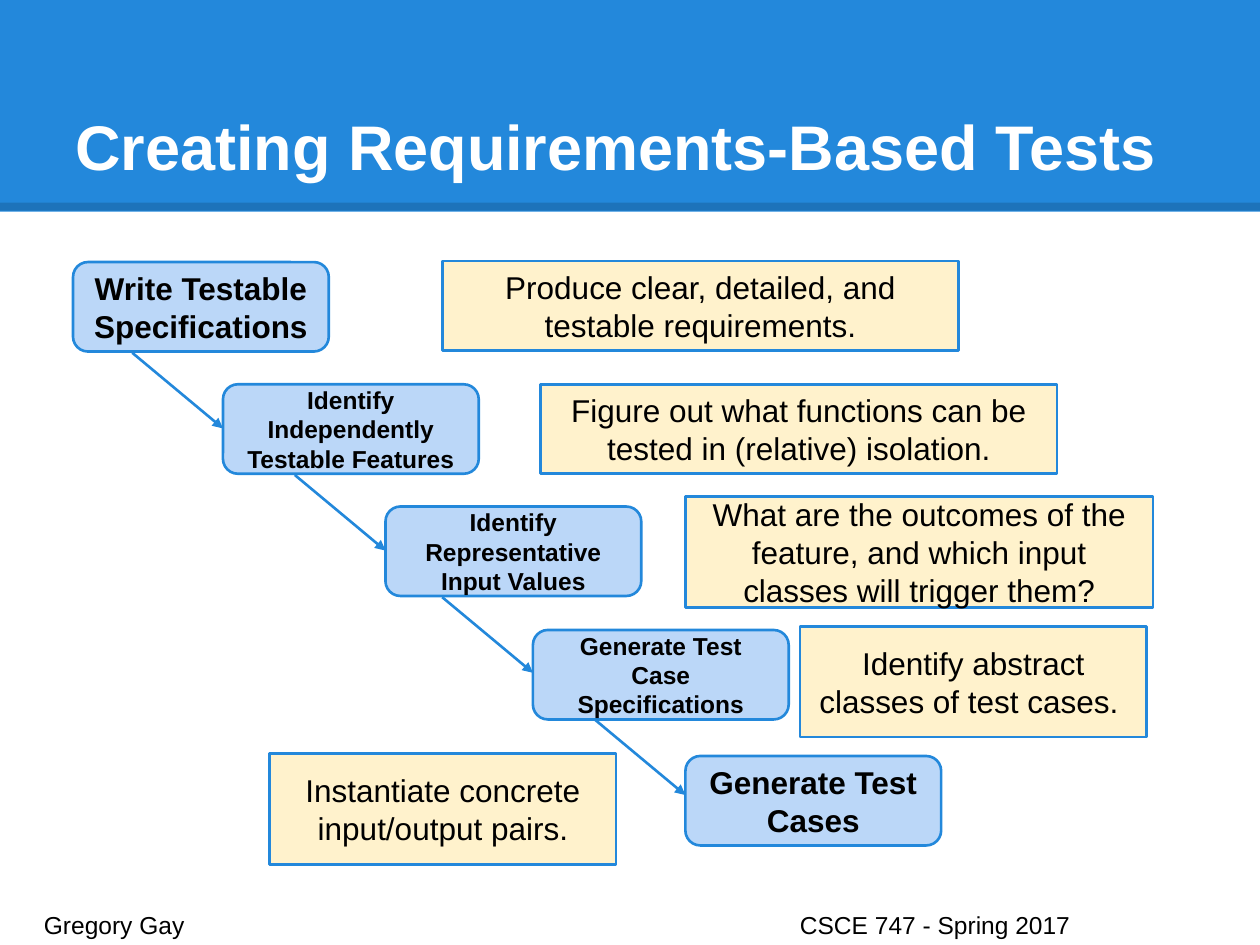
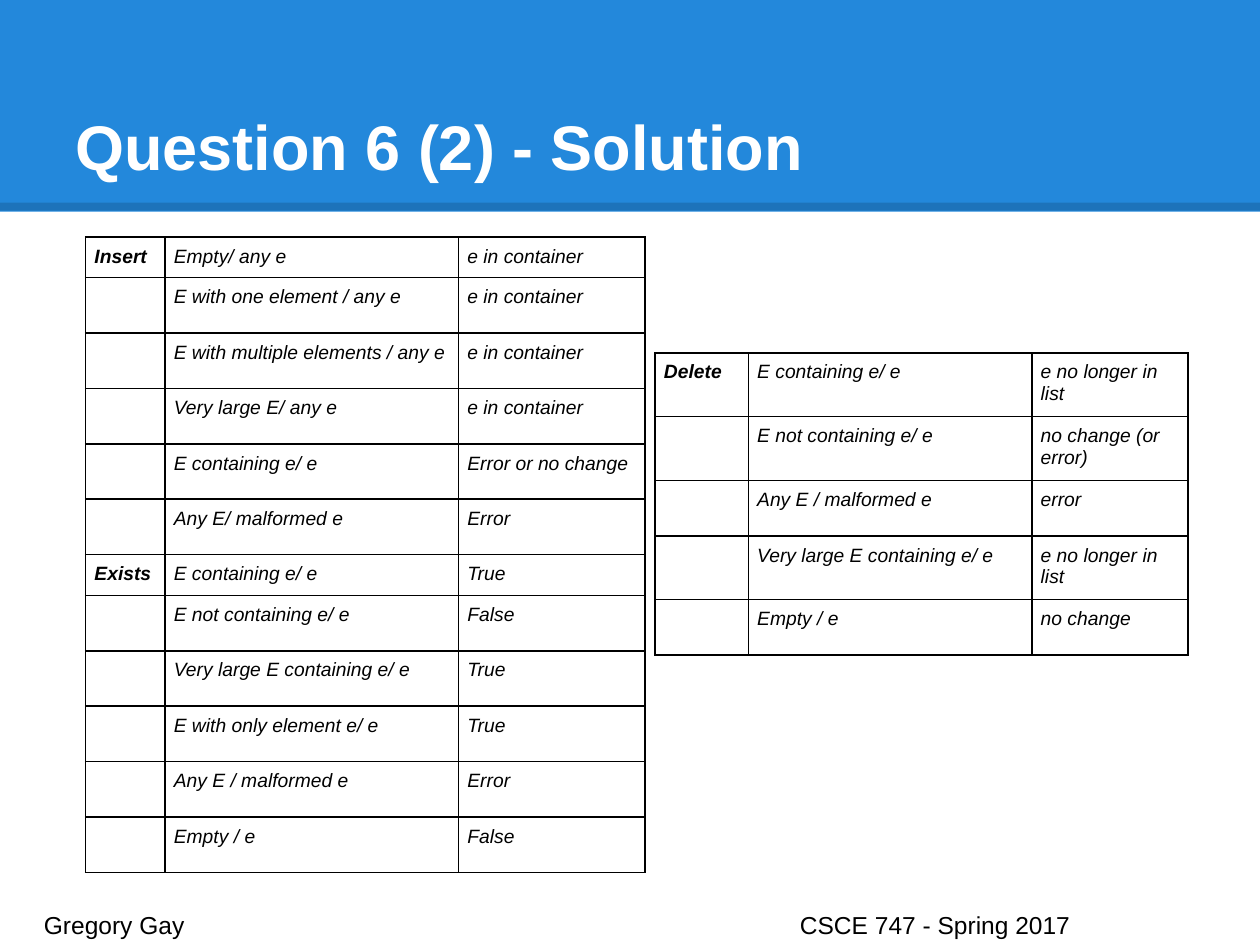
from lxml.etree import SubElement
from pptx import Presentation
from pptx.dml.color import RGBColor
from pptx.enum.shapes import MSO_CONNECTOR as Connector, MSO_SHAPE as Shape
from pptx.enum.text import MSO_ANCHOR as Anchor, PP_ALIGN as Align
from pptx.oxml.ns import qn
from pptx.util import Inches, Pt

BLUE, PALE_BLUE, CREAM = "2388DB", "BBD7F8", "FFF2CC"
BLACK, WHITE = "000000", "FFFFFF"
FONT = "Arial"
FOOTER = "Gregory Gay\tCSCE 747 - Spring 2017"

STEPS = [
    ("Write Testable Specifications", 18, 0.58, 2.08),
    ("Identify Independently Testable Features", 14, 1.77, 3.05),
    ("Identify Representative Input Values", 14, 3.06, 4.02),
    ("Generate Test Case Specifications", 14, 4.23, 5),
    ("Generate Test Cases", 18, 5.44, 6),
]
EXPLANATIONS = [
    ("Produce clear, detailed, and testable requirements.", 3.51, 2.07, 4.1, 0.71),
    ("Figure out what functions can be tested in (relative) isolation.", 4.29, 3.05, 4.1, 0.71),
    ("What are the outcomes of the feature, and which input classes will trigger them?",
     5.44, 3.94, 3.71, 0.88),
    ("Identify abstract classes of test cases. ", 6.35, 4.97, 2.75, 0.88),
    ("Instantiate concrete input/output pairs.", 2.14, 5.98, 2.75, 0.88),
]
INSERT_AND_EXISTS = [
    ("Insert", "Empty/ any e", "e in container"),
    ("", "E with one element / any e", "e in container"),
    ("", "E with multiple elements / any e", "e in container"),
    ("", "Very large E/ any e", "e in container"),
    ("", "E containing e/ e", "Error or no change"),
    ("", "Any E/ malformed e", "Error"),
    ("Exists", "E containing e/ e", "True"),
    ("", "E not containing e/ e", "False"),
    ("", "Very large E containing e/ e", "True"),
    ("", "E with only element e/ e", "True"),
    ("", "Any E / malformed e", "Error"),
    ("", "Empty / e", "False"),
]
DELETE = [
    ("Delete", "E containing e/ e", "e no longer in list"),
    ("", "E not containing e/ e", "no change (or error)"),
    ("", "Any E / malformed e", "error"),
    ("", "Very large E containing e/ e", "e no longer in list"),
    ("", "Empty / e", "no change"),
]


def color(hex_value):
    return RGBColor.from_string(hex_value)


class Deck:
    def __init__(self):
        self.presentation = Presentation()
        self.presentation.slide_width = Inches(10)
        self.presentation.slide_height = Inches(7.5)
        self.slide = None

    def add_slide(self, title):
        self.slide = self.presentation.slides.add_slide(self.presentation.slide_layouts[6])
        self.box(Shape.RECTANGLE, 0, 0, 10, 1.68, BLUE)
        self.line((0, 1.64), (10, 1.64), BLACK, 4.5, opacity=15)
        self.text(title, 0.5, 0.3, 9, 1.25, 36, WHITE, bold=True, anchor=Anchor.BOTTOM)
        footer = self.text(FOOTER, 0.25, 7.12, 9.51, 0.3, 14)
        tabs = SubElement(footer.get_or_add_pPr(), qn("a:tabLst"))
        SubElement(tabs, qn("a:tab"), pos=str(Inches(6)), algn="l")

    def add_run(self, paragraph, text, size, text_color=BLACK, bold=False, italic=False):
        run = paragraph.add_run()
        run.text = text
        font = run.font
        font.name, font.size, font.bold, font.italic = FONT, Pt(size), bold, italic
        font.color.rgb = color(text_color)

    def frame(self, shape, anchor):
        frame = shape.text_frame
        frame.word_wrap = True
        frame.vertical_anchor = anchor
        frame.margin_left = frame.margin_right = Inches(0.1)
        frame.margin_top = frame.margin_bottom = Inches(0.1)
        return frame.paragraphs[0]

    def text(self, text, left, top, width, height, size, text_color=BLACK, bold=False,
             anchor=Anchor.TOP):
        shape = self.slide.shapes.add_textbox(
            Inches(left), Inches(top), Inches(width), Inches(height))
        paragraph = self.frame(shape, anchor)
        self.add_run(paragraph, text, size, text_color, bold)
        return paragraph._p

    def box(self, kind, left, top, width, height, fill, text="", size=18, bold=False):
        shape = self.slide.shapes.add_shape(
            kind, Inches(left), Inches(top), Inches(width), Inches(height))
        shape.shadow.inherit = False
        shape.fill.solid()
        shape.fill.fore_color.rgb = color(fill)
        if not text:
            shape.line.fill.background()
            return
        shape.line.color.rgb = color(BLUE)
        shape.line.width = Pt(1.5)
        paragraph = self.frame(shape, Anchor.MIDDLE)
        paragraph.alignment = Align.CENTER
        self.add_run(paragraph, text, size, bold=bold)

    def line(self, start, end, line_color, width, opacity=100, arrow=False):
        connector = self.slide.shapes.add_connector(
            Connector.STRAIGHT, *(Inches(value) for value in (*start, *end)))
        connector.line.color.rgb = color(line_color)
        connector.line.width = Pt(width)
        properties = connector._element.spPr
        if opacity < 100:
            fill = properties.find(".//" + qn("a:srgbClr"))
            SubElement(fill, qn("a:alpha"), val=str(opacity * 1000))
        if arrow:
            SubElement(properties.find(qn("a:ln")), qn("a:tailEnd"), type="triangle")
        SubElement(properties, qn("a:effectLst"))

    def table(self, rows, left, top, widths, heights):
        shape = self.slide.shapes.add_table(
            len(rows), len(widths), Inches(left), Inches(top),
            Inches(sum(widths)), Inches(sum(heights)))
        table = shape.table
        table.first_row = table.horz_banding = False
        for column, width in zip(table.columns, widths):
            column.width = Inches(width)
        for row, height, values in zip(table.rows, heights, rows):
            row.height = Inches(height)
            for index, (cell, value) in enumerate(zip(row.cells, values)):
                self.cell(cell, value, bold=index == 0)

    def cell(self, cell, value, bold):
        cell.margin_left = cell.margin_right = Inches(0.07)
        cell.margin_top = cell.margin_bottom = Inches(0.07)
        properties = cell._tc.get_or_add_tcPr()
        for side in ("lnL", "lnR", "lnT", "lnB"):
            border = SubElement(properties, qn("a:" + side), w=str(Pt(1)))
            fill = SubElement(border, qn("a:solidFill"))
            SubElement(fill, qn("a:srgbClr"), val=BLACK)
        cell.fill.background()
        if value:
            self.add_run(cell.text_frame.paragraphs[0], value, 11, bold=bold, italic=True)


def build_process(deck):
    deck.add_slide("Creating Requirements-Based Tests")
    for text, size, left, top in STEPS:
        deck.box(Shape.ROUNDED_RECTANGLE, left, top, 2.03, 0.71, PALE_BLUE, text, size, bold=True)
    for index, (_, _, left, _) in enumerate(STEPS[1:]):
        arrow_end = 3.4 + 0.97 * index
        deck.line((left - 0.72, arrow_end - 0.6), (left, arrow_end), BLUE, 1.5, arrow=True)
    for text, *area in EXPLANATIONS:
        deck.box(Shape.RECTANGLE, *area, CREAM, text)


def build_solution(deck):
    deck.add_slide("Question 6 (2) - Solution")
    heights = [0.31 if operation else 0.42 for operation, _, _ in INSERT_AND_EXISTS]
    deck.table(INSERT_AND_EXISTS, 0.68, 1.88, [0.63, 2.33, 1.48], heights)
    deck.table(DELETE, 5.2, 2.8, [0.74, 2.25, 1.24], [0.48, 0.48, 0.42, 0.48, 0.42])


def main():
    deck = Deck()
    build_process(deck)
    build_solution(deck)
    deck.presentation.save("out.pptx")


if __name__ == "__main__":
    main()
